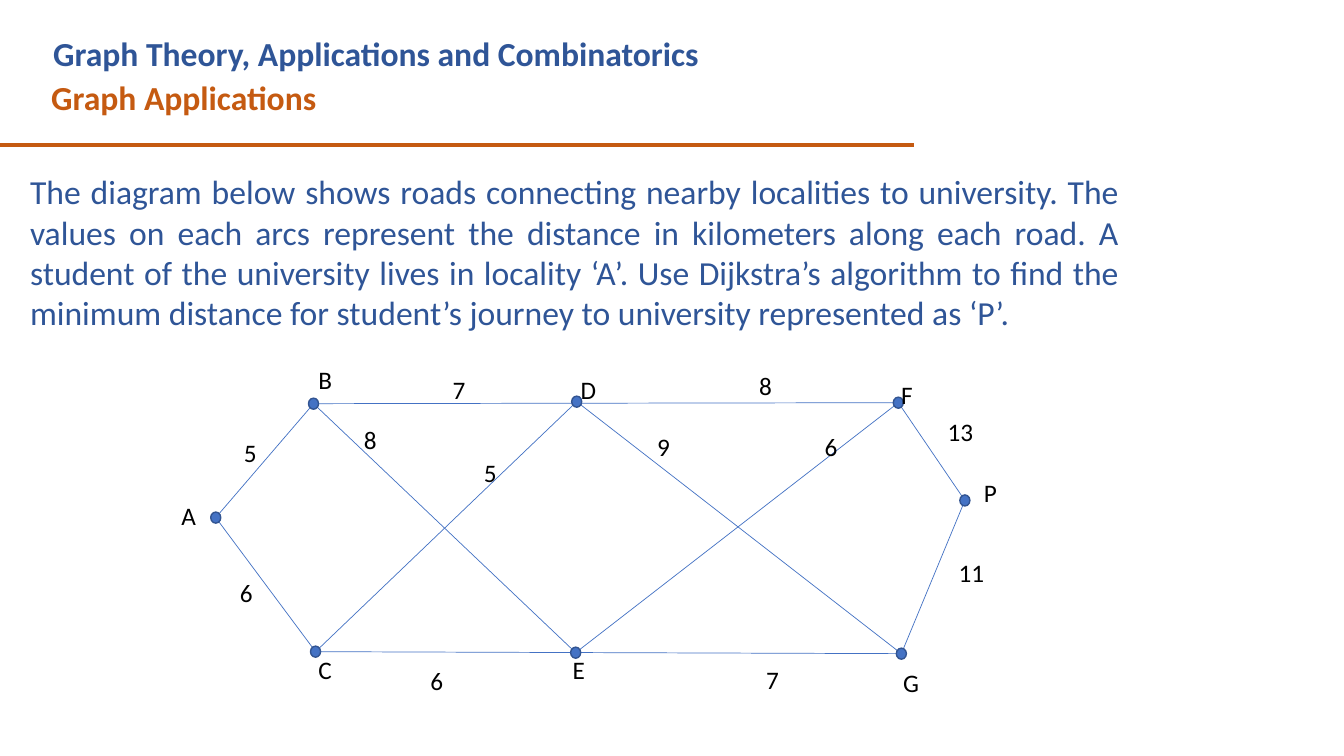
from dataclasses import dataclass

from lxml.etree import SubElement
from pptx import Presentation
from pptx.dml.color import RGBColor
from pptx.enum.shapes import MSO_CONNECTOR, MSO_SHAPE
from pptx.enum.text import PP_ALIGN
from pptx.oxml.ns import qn
from pptx.util import Inches, Pt


@dataclass(frozen=True)
class Theme:
    font: str = "Calibri"
    heading: str = "2F5597"
    accent: str = "C55A11"
    road: str = "4472C4"
    outline: str = "325491"
    label: str = "000000"
    body_size: int = 24
    label_size: int = 18


@dataclass(frozen=True)
class Box:
    column: float
    row: float
    columns: float
    rows: float

    def inner(self, column, row, columns, rows):
        return Box(self.column + column, self.row + row, columns, rows)


THEME = Theme()
CELL = Inches(0.1)
DOT_COLUMNS, DOT_ROWS = 1, 1.1
LABEL_COLUMNS, LABEL_ROWS = 5.5, 4

LOCALITIES = {
    "A": ((4.4, 15.65), (0, 13.4)),
    "B": ((14.1, 4.35), (13.6, 0)),
    "C": ((14.3, 28.95), (13.6, 28.7)),
    "D": ((40.2, 4.15), (39.6, 0.9)),
    "E": ((40.1, 29.05), (38.8, 28.7)),
    "F": ((72.1, 4.25), (71.4, 1.4)),
    "G": ((72.4, 29.15), (71.6, 30)),
    "P": ((78.7, 13.95), (79.6, 11.2)),
}
ROADS = ["BF", "CG", "AC", "AB", "FP", "GP", "BE", "EF", "DG", "CD"]
DISTANCES = [
    ("5", (6.2, 7.2)),
    ("6", (5.8, 21.1)),
    ("7", (26.9, 0.9)),
    ("8", (57.3, 0.5)),
    ("13", (76, 5.1)),
    ("11", (77.1, 19.1)),
    ("7", (58, 29.7)),
    ("6", (24.7, 29.8)),
    ("9", (47.2, 6.6)),
    ("6", (63.8, 6.6)),
    ("8", (18.1, 5.9)),
    ("5", (30, 9.2)),
]
QUESTION = (
    "The diagram below shows roads connecting nearby localities to university. "
    "The values on each arcs represent the distance in kilometers along each road. "
    "A student of the university lives in locality ‘A’. Use Dijkstra’s algorithm "
    "to find the minimum distance for student’s journey to university represented as ‘P’."
)


def cells(*counts):
    return [int(count * CELL) for count in counts]


def add_text(slide, box, text, *, size=THEME.body_size, color=THEME.heading,
             bold=False, align=PP_ALIGN.LEFT):
    shape = slide.shapes.add_textbox(*cells(box.column, box.row, box.columns, box.rows))
    shape.text_frame.word_wrap = True
    paragraph = shape.text_frame.paragraphs[0]
    paragraph.alignment = align
    run = paragraph.add_run()
    run.text = text
    run.font.name = THEME.font
    run.font.size = Pt(size)
    run.font.bold = bold
    run.font.color.rgb = RGBColor.from_string(color)


def add_line(slide, box, start, end, *, color, width):
    connector = slide.shapes.add_connector(
        MSO_CONNECTOR.STRAIGHT,
        *cells(box.column + start[0], box.row + start[1],
               box.column + end[0], box.row + end[1]))
    connector.line.color.rgb = RGBColor.from_string(color)
    connector.line.width = Pt(width)
    SubElement(connector.element.spPr, qn("a:effectLst"))


def add_dot(slide, box, center):
    dot = box.inner(center[0] - DOT_COLUMNS / 2, center[1] - DOT_ROWS / 2,
                    DOT_COLUMNS, DOT_ROWS)
    shape = slide.shapes.add_shape(
        MSO_SHAPE.OVAL, *cells(dot.column, dot.row, dot.columns, dot.rows))
    shape.shadow.inherit = False
    shape.fill.solid()
    shape.fill.fore_color.rgb = RGBColor.from_string(THEME.road)
    shape.line.color.rgb = RGBColor.from_string(THEME.outline)
    shape.line.width = Pt(1)


def add_header(slide, box):
    add_text(slide, box.inner(4.3, 2.8, 82, 5),
             "Graph Theory, Applications and Combinatorics", bold=True)
    add_text(slide, box.inner(4.1, 7.1, 87.5, 5), "Graph Applications",
             color=THEME.accent, bold=True)
    add_line(slide, box, (0, box.rows), (box.columns, box.rows),
             color=THEME.accent, width=3)


def add_question(slide, box):
    add_text(slide, box, QUESTION, align=PP_ALIGN.JUSTIFY)


def add_road_map(slide, box):
    for start, end in ROADS:
        add_line(slide, box, LOCALITIES[start][0], LOCALITIES[end][0],
                 color=THEME.road, width=0.5)
    for center, _ in LOCALITIES.values():
        add_dot(slide, box, center)
    names = [(name, place) for name, (_, place) in LOCALITIES.items()]
    for text, place in names + DISTANCES:
        add_text(slide, box.inner(*place, LABEL_COLUMNS, LABEL_ROWS), text,
                 size=THEME.label_size, color=THEME.label)


def main():
    presentation = Presentation()
    presentation.slide_width = Inches(13.33)
    presentation.slide_height = Inches(7.5)
    slide = presentation.slides.add_slide(presentation.slide_layouts[6])
    add_header(slide, Box(0, 0, 90.7, 14.4))
    add_question(slide, Box(2, 16.5, 110, 17.2))
    add_road_map(slide, Box(17, 35.7, 86.3, 34))
    presentation.save("out.pptx")


if __name__ == "__main__":
    main()
